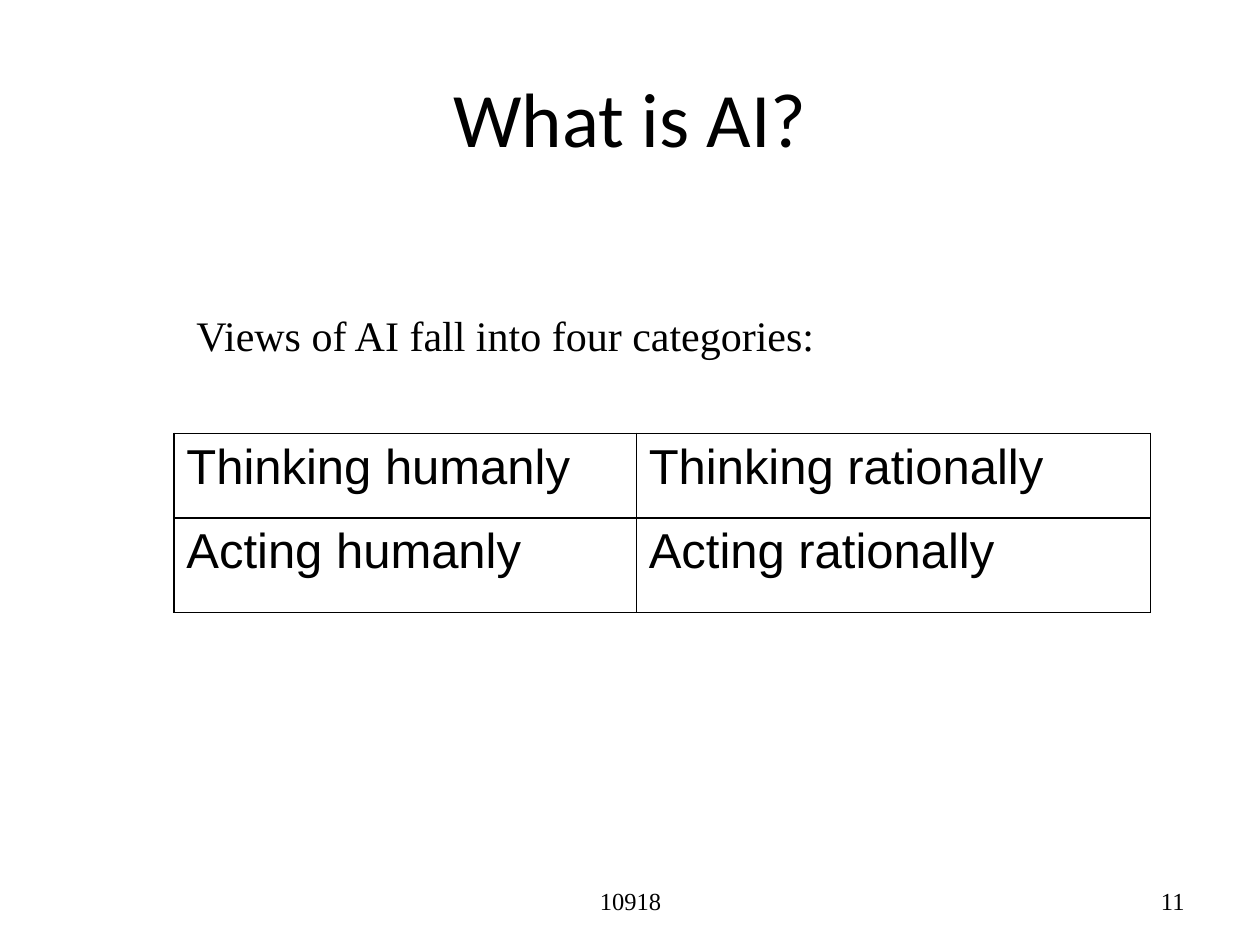
from dataclasses import dataclass

from lxml import etree
from pptx import Presentation
from pptx import util as u
from pptx.dml.color import RGBColor
from pptx.enum import text
from pptx.oxml.ns import qn


@dataclass(frozen=True)
class Theme:
    """Colours, fonts and type sizes of the slide."""
    ink: str = "000000"
    paper: str = "FFFFFF"
    title_font: str = "Calibri"
    body_font: str = "Times New Roman"
    table_font: str = "Arial"
    title_size: int = 44
    lead_size: int = 24
    table_size: int = 28
    footer_size: int = 14
    border: int = 1


THEME = Theme()
WIDTH, HEIGHT = 10, 7.5
LEFT, CENTER, RIGHT = text.PP_ALIGN.LEFT, text.PP_ALIGN.CENTER, text.PP_ALIGN.RIGHT
TOP, MIDDLE = text.MSO_ANCHOR.TOP, text.MSO_ANCHOR.MIDDLE
CATEGORIES = [
    ["Thinking humanly", "Thinking rationally"],
    ["Acting humanly", "Acting rationally"],
]


def write(frame, words, font, size, align=LEFT):
    """Put one formatted run into the first paragraph of a text frame."""
    para = frame.paragraphs[0]
    para.alignment = align
    span = para.add_run()
    span.text = words
    span.font.name = font
    span.font.size = u.Pt(size)
    span.font.color.rgb = RGBColor.from_string(THEME.ink)


def add_title(page, words):
    """Place and fill the title placeholder."""
    title = page.shapes.title
    title.left, title.top = u.Inches(0.5), u.Inches(0.3)
    title.width, title.height = u.Inches(WIDTH - 1), u.Inches(1.25)
    title.text_frame.vertical_anchor = MIDDLE
    write(title.text_frame, words, THEME.title_font, THEME.title_size, CENTER)


def add_label(page, words, area, size, align=LEFT, anchor=TOP):
    """Add a wrapped text box in the body font."""
    box = page.shapes.add_textbox(*map(u.Inches, area))
    box.text_frame.word_wrap = True
    box.text_frame.vertical_anchor = anchor
    write(box.text_frame, words, THEME.body_font, size, align)


def outline(cell):
    """Draw a solid border on all four sides of a cell."""
    properties = cell._tc.get_or_add_tcPr()
    for index, side in enumerate(("lnL", "lnR", "lnT", "lnB")):
        line = etree.Element(qn(f"a:{side}"), w=str(u.Pt(THEME.border)))
        fill = etree.SubElement(line, qn("a:solidFill"))
        etree.SubElement(fill, qn("a:srgbClr"), val=THEME.ink)
        properties.insert(index, line)


def add_grid(page, rows, left, top, widths, heights):
    """Add a plain bordered table."""
    area = map(u.Inches, (left, top, sum(widths), sum(heights)))
    table = page.shapes.add_table(len(rows), len(widths), *area).table
    table.first_row = table.horz_banding = False
    for column, width in zip(table.columns, widths):
        column.width = u.Inches(width)
    for row, height, entries in zip(table.rows, heights, rows):
        row.height = u.Inches(height)
        for cell, words in zip(row.cells, entries):
            cell.fill.background()
            outline(cell)
            write(cell.text_frame, words, THEME.table_font, THEME.table_size)


def main():
    """Build the slide and save the deck."""
    deck = Presentation()
    deck.slide_width, deck.slide_height = u.Inches(WIDTH), u.Inches(HEIGHT)
    page = deck.slides.add_slide(deck.slide_layouts.get_by_name("Title Only"))
    page.background.fill.solid()
    page.background.fill.fore_color.rgb = RGBColor.from_string(THEME.paper)
    add_title(page, "What is AI?")
    add_grid(page, CATEGORIES, 1.38, 3.44, (3.67, 4.08), (0.67, 0.75))
    add_label(page, "Views of AI fall into four categories:",
              (1.46, 2.41, 6.22, 0.51), THEME.lead_size)
    footers = [("10918", 3.42, 3.17, CENTER), ("11", 7.17, 2.33, RIGHT)]
    for words, left, width, align in footers:
        add_label(page, words, (left, 6.95, width, 0.4),
                  THEME.footer_size, align, MIDDLE)
    deck.save("out.pptx")


if __name__ == "__main__":
    main()
